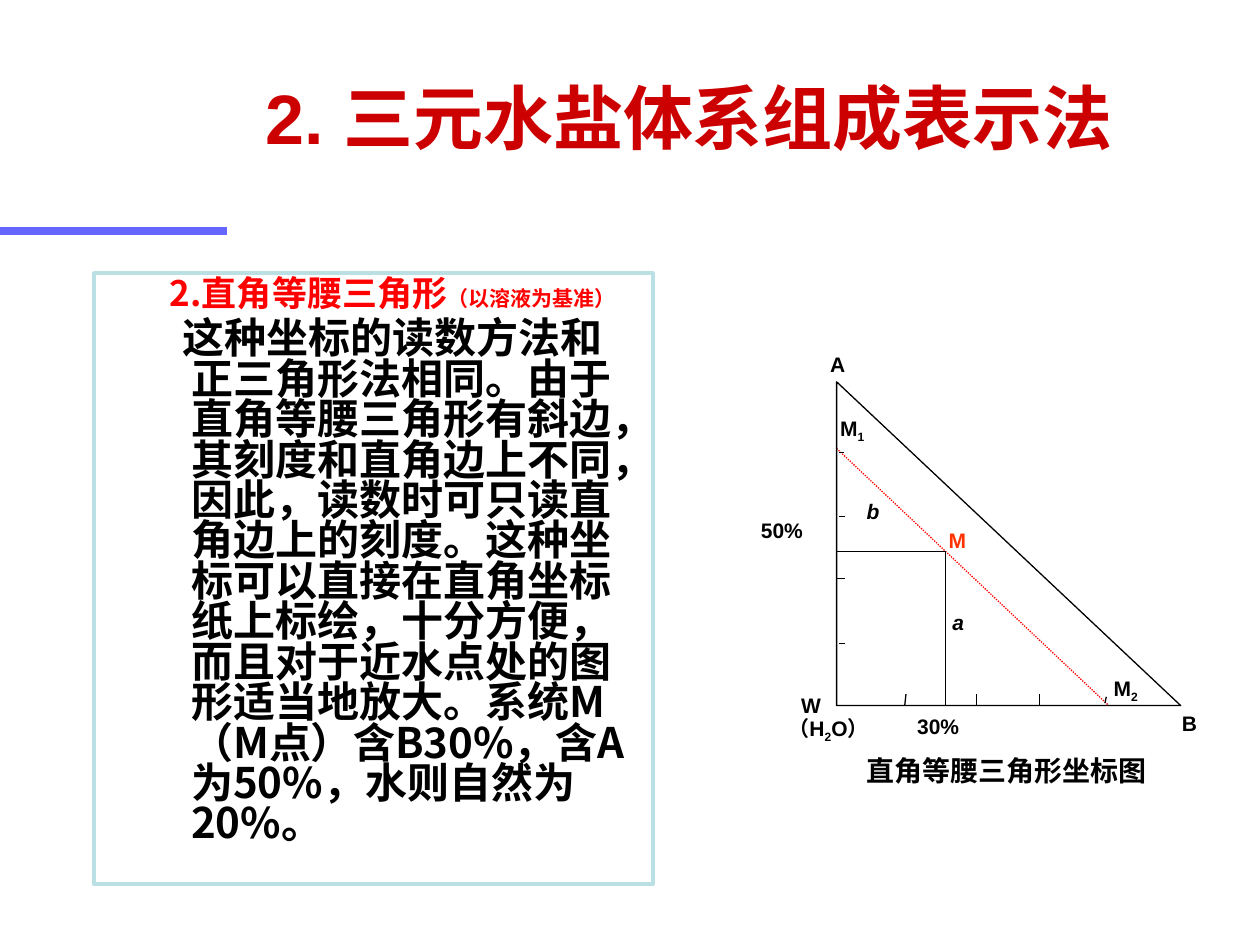
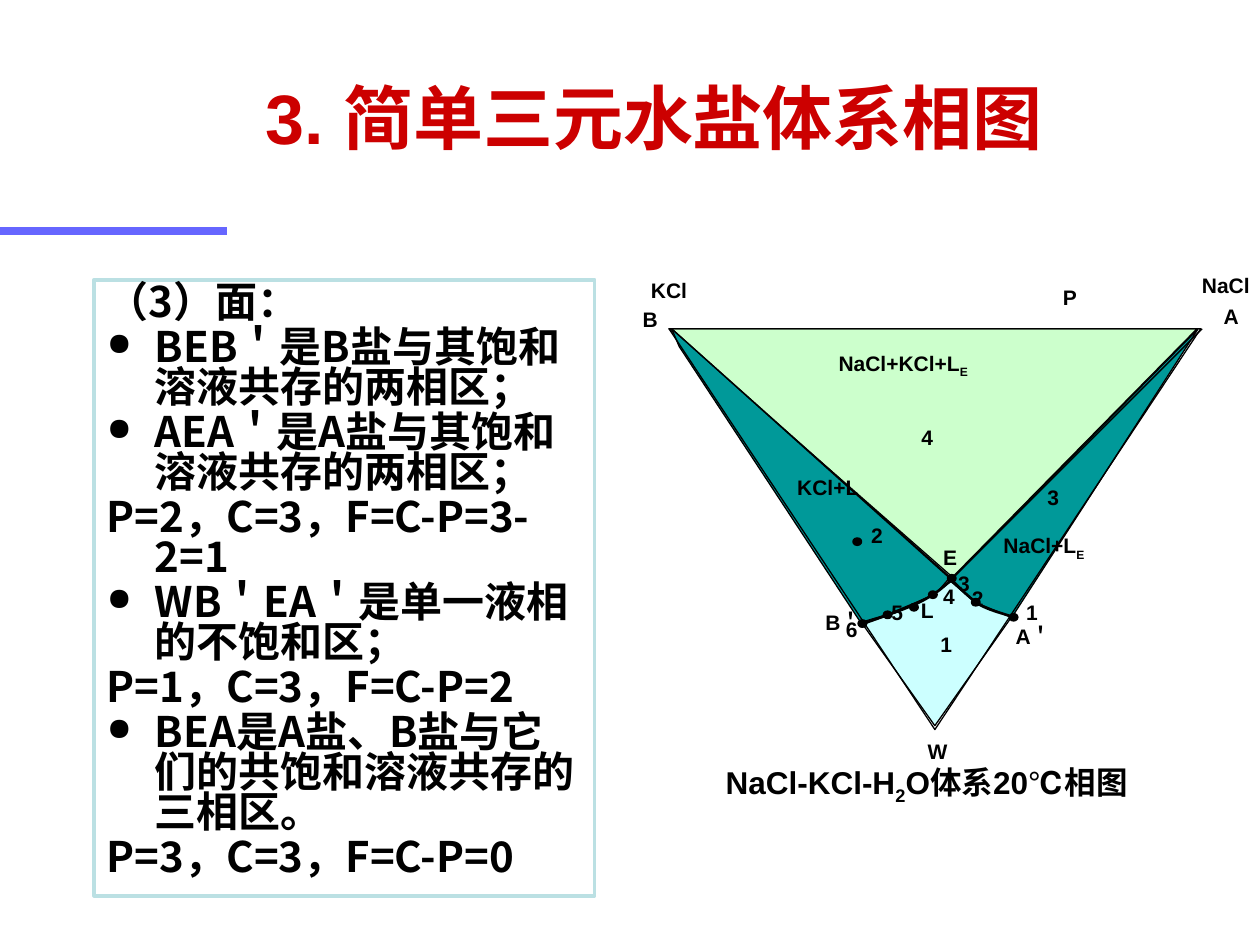
"""Build two slides on ternary water-salt systems: triangular coordinates and a phase diagram."""
from lxml.etree import SubElement
from pptx import Presentation
from pptx.dml.color import RGBColor
from pptx.enum.dml import MSO_LINE_DASH_STYLE as Dash
from pptx.enum.shapes import MSO_CONNECTOR as Connector, MSO_SHAPE as Shape
from pptx.enum.text import MSO_ANCHOR as Anchor, PP_ALIGN as Align
from pptx.oxml.ns import qn
from pptx.util import Pt

COLOURS = {
    "title": "CC0000", "bar": "6666FF", "frame": "BBE0E3", "ink": "000000",
    "heading": "FF0000", "point": "FF3300", "three_phase": "CCFFCC",
    "two_phase": "009999", "liquid": "CCFFFF",
}
COLOURS = {name: RGBColor.from_string(value) for name, value in COLOURS.items()}
CJK = "Noto Sans CJK SC"


def write(para, text, size=12, colour="ink", font="Arial", italic=False):
    """Fill a paragraph; underscores switch subscript on and off."""
    for index, part in enumerate(text.split("_")):
        span = para.add_run()
        span.text = part
        if index % 2:
            span.font._element.set("baseline", "-25000")
    para.font.size, para.font.bold, para.font.name = Pt(size), True, font
    para.font.color.rgb = COLOURS[colour]
    if italic:
        para.font.italic = True
    SubElement(para._p.pPr.find(qn("a:defRPr")), qn("a:ea"), typeface=CJK)


def connect(page, x1, y1, x2, y2, colour="ink", width=0.75):
    """Draw a straight line without a shadow."""
    line = page.shapes.add_connector(Connector.STRAIGHT, Pt(x1), Pt(y1), Pt(x2), Pt(y2))
    line.line.color.rgb, line.line.width = COLOURS[colour], Pt(width)
    SubElement(line._element.spPr, qn("a:effectLst"))
    return line


deck = Presentation()
deck.slide_width, deck.slide_height = Pt(720), Pt(540)

coordinate_text = [
    ("2.直角等腰三角形", 77.8, -41.8, False),
    ("这种坐标的读数方法和正三角形法相同。由于直角等腰三角形有斜边，其刻度和直角边上不同，"
     "因此，读数时可只读直角边上的刻度。这种坐标可以直接在直角坐标纸上标绘，十分方便，"
     "而且对于近水点处的图形适当地放大。系统M（M点）含B30%，含A为50%，水则自然为20%。",
     48.2, -5, False),
]
region_text = [
    (text, 27.4, -27.4, bulleted) for text, bulleted in [
        ("（3）面：", False),
        ("BEB＇是B盐与其饱和溶液共存的两相区；", True),
        ("AEA＇是A盐与其饱和溶液共存的两相区；", True),
        ("P=2，C=3，F=C-P=3-2=1", False),
        ("WB＇EA＇是单一液相的不饱和区；", True),
        ("P=1，C=3，F=C-P=2", False),
        ("BEA是A盐、B盐与它们的共饱和溶液共存的三相区。", True),
        ("P=3，C=3，F=C-P=0", False),
    ]
]

pages = []
for title, area, pitch, gap, lines in [
    ("2. 三元水盐体系组成表示法", (54, 156.2, 319, 349.2), 23.1, 4.8, coordinate_text),
    ("3. 简单三元水盐体系相图", (54, 159.8, 285.8, 352.1), 22.8, 3, region_text),
]:
    page = deck.slides.add_slide(deck.slide_layouts[6])
    pages.append(page)
    connect(page, 0, 131.8, 129.6, 131.8, "bar", 4.5)
    box = page.shapes.add_textbox(Pt(144.7), Pt(21.6), Pt(539.3), Pt(90))
    box.text_frame.word_wrap = True
    box.text_frame.vertical_anchor = Anchor.MIDDLE
    write(box.text_frame.paragraphs[0], title, 40, "title")

    box = page.shapes.add_textbox(*map(Pt, area))
    box.line.color.rgb, box.line.width = COLOURS["frame"], Pt(2.25)
    frame = box.text_frame
    frame.word_wrap = True
    for index, (text, margin, indent, bulleted) in enumerate(lines):
        para = frame.add_paragraph() if index else frame.paragraphs[0]
        heading = text.startswith("2.")
        para.line_spacing = Pt(19.3 if heading else pitch)
        para.space_before = Pt(gap if index else 0)
        properties = para._p.get_or_add_pPr()
        properties.set("marL", str(Pt(margin)))
        properties.set("indent", str(Pt(indent)))
        if bulleted:
            SubElement(properties, qn("a:buSzPct"), val="75000")
            SubElement(properties, qn("a:buChar"), char="●")
        write(para, text, 20 if heading else 24, "heading" if heading else "ink", CJK)
        if heading:
            span = para.add_run()
            span.text, span.font.size = "（以溶液为基准）", Pt(12)

coordinate_page, phase_page = pages

corner_x, corner_y = 478.1, 403.2
point_x, point_y = 540.3, 315.1
mixing_line = connect(coordinate_page, corner_x, 256.3, 633.6, corner_y, "heading")
mixing_line.line.dash_style = Dash.ROUND_DOT
for x1, y1, x2, y2 in [
    (517.7, 396.7, 517, corner_y), (558, 396.7, 558, corner_y),
    (594, 396.7, 594, corner_y), (632.2, 398.2, 631.4, 401.8),
    (479.5, 367.9, 483.1, 367.9), (corner_x, 330.5, 483.1, 330.5),
    (479.5, 295.2, 483.1, 295.2), (479.5, 258.5, 482.4, 258.5),
    (corner_x, point_y, point_x, point_y), (point_x, corner_y, point_x, point_y),
]:
    connect(coordinate_page, x1, y1, x2, y2)

regions = [
    ("three_phase", [(382.3, 187.9), (544.3, 329.8), (684, 187.9)]),
    ("liquid", [(493.2, 357.1), (506.9, 349.9), (524.2, 344.9), (534.2, 339.1),
                (545, 331.2), (558, 344.9), (578.9, 351.4), (534.2, 414.7)]),
    ("two_phase", [(542.9, 331.9), (557.3, 344.2), (578.2, 352.8), (684.7, 187.9)]),
    ("two_phase", [(491.8, 355.7), (506.2, 351.4), (522, 344.9), (535, 339.1),
                   (542.9, 329.8), (383.8, 187.9), (388.1, 198)]),
]
saturation_curves = [
    [(543.6, 331.2), (539.3, 335.5), (535, 339.1), (527, 343.4),
     (518.4, 347.8), (505.4, 352.1), (493.2, 356.4)],
    [(543.6, 331.2), (548.6, 336.2), (553.7, 341.3), (558.7, 344.9),
     (564.5, 348.5), (571, 349.9), (577.4, 352.1)],
]
outlines = regions + [(None, curve) for curve in saturation_curves]
for colour, points in outlines:
    if colour is None:
        knots, points = points, points[:1]
        for start in (0, 3):
            for step in range(1, 9):
                t = step / 8
                weights = ((1 - t) ** 3, 3 * t * (1 - t) ** 2, 3 * t * t * (1 - t), t ** 3)
                points.append(tuple(
                    sum(w * knot[axis] for w, knot in zip(weights, knots[start:start + 4]))
                    for axis in (0, 1)))
    corners = [(Pt(x), Pt(y)) for x, y in points]
    builder = phase_page.shapes.build_freeform(*corners[0], scale=1.0)
    builder.add_line_segments(corners[1:], close=colour is not None)
    outline = builder.convert_to_shape()
    outline.shadow.inherit = False
    outline.line.color.rgb = COLOURS["ink"]
    outline.line.width = Pt(0.75 if colour else 1.5)
    if colour:
        outline.fill.solid()
        outline.fill.fore_color.rgb = COLOURS[colour]
    else:
        outline.fill.background()

connect(phase_page, 383.8, 187.9, 543.6, 331.2)
connect(phase_page, 543.6, 331.2, 686.9, 187.9)

for page, kind, area, turn in [
    (coordinate_page, Shape.RIGHT_TRIANGLE, (corner_x, 218.2, 196.6, 185), 0),
    (phase_page, Shape.ISOSCELES_TRIANGLE, (382.3, 187.9, 303.8, 229), 180),
]:
    triangle = page.shapes.add_shape(kind, *map(Pt, area))
    triangle.rotation = turn
    triangle.shadow.inherit = False
    triangle.fill.background()
    triangle.line.color.rgb, triangle.line.width = COLOURS["ink"], Pt(0.75)

for left, top in [
    (519.8, 344.9), (504.7, 349.2), (530.6, 337.7), (555.1, 342),
    (490.3, 354.2), (576.7, 350.6), (541.4, 328.3), (487.4, 307.4),
]:
    dot = phase_page.shapes.add_shape(Shape.OVAL, Pt(left), Pt(top), Pt(5), Pt(4.3))
    dot.shadow.inherit = False
    dot.fill.solid()
    dot.fill.fore_color.rgb = COLOURS["ink"]
    dot.line.color.rgb, dot.line.width = COLOURS["ink"], Pt(0.75)

coordinate_labels = [
    ("W", 450.7, 392.4, 52), ("B", 668.2, 402.5, 51.8), ("A", 467.3, 197.3, 52),
    ("M", 535, 298.1, 52), ("M_1", 473, 234, 52), ("M_2", 629.3, 382.3, 52),
    ("（H_2_O）", 443.5, 405.4, 86.4), ("b", 488.2, 281.5, 52), ("a", 537.1, 344.9, 52),
    ("50%", 427.7, 292.3, 63.4), ("30%", 517, 403.9, 63.4),
    ("直角等腰三角形坐标图", 458.6, 427, 233.3),
]
phase_labels = [
    ("B", 347, 171.4, 49), ("A", 679, 169.9, 49), ("W", 511.2, 418.3, 49),
    ("B＇", 450.7, 344.9, 62.6), ("A＇", 559.4, 352.8, 62.6), ("6", 462.2, 348.5, 49),
    ("5", 488.2, 339.1, 49), ("2", 534.2, 331.2, 49), ("L", 505.4, 337.7, 49),
    ("4", 517.7, 329.8, 49), ("1", 565.2, 339.1, 49), ("3", 526.3, 322.6, 49),
    ("P", 586.8, 159.1, 49), ("KCl", 345.6, 154.8, 73.4), ("NaCl", 663.8, 151.9, 73.4),
    ("NaCl+KCl+L_E", 432.7, 196.6, 167), ("KCl+L", 435.6, 267.8, 74.9),
    ("NaCl+L_E", 542.2, 301, 108.7), ("1", 516.2, 357.1, 49), ("2", 476.6, 295.2, 49),
    ("3", 577.4, 273.6, 49), ("4", 505.4, 239, 49), ("E", 518.4, 307.4, 49),
    ("NaCl-KCl-H_2_O体系20℃相图", 363.6, 432.7, 331.9),
]
caption_sizes = {coordinate_labels[-1][0]: 16, phase_labels[-1][0]: 18}
for page, labels in [(coordinate_page, coordinate_labels), (phase_page, phase_labels)]:
    for text, left, top, width in labels:
        box = page.shapes.add_textbox(Pt(left), Pt(top), Pt(width), Pt(48))
        box.text_frame.word_wrap = True
        para = box.text_frame.paragraphs[0]
        centred = page is phase_page or text in caption_sizes
        para.alignment = Align.CENTER if centred else Align.JUSTIFY
        write(para, text, caption_sizes.get(text, 12), "point" if text == "M" else "ink",
              italic=text in ("a", "b"))

deck.save("out.pptx")
